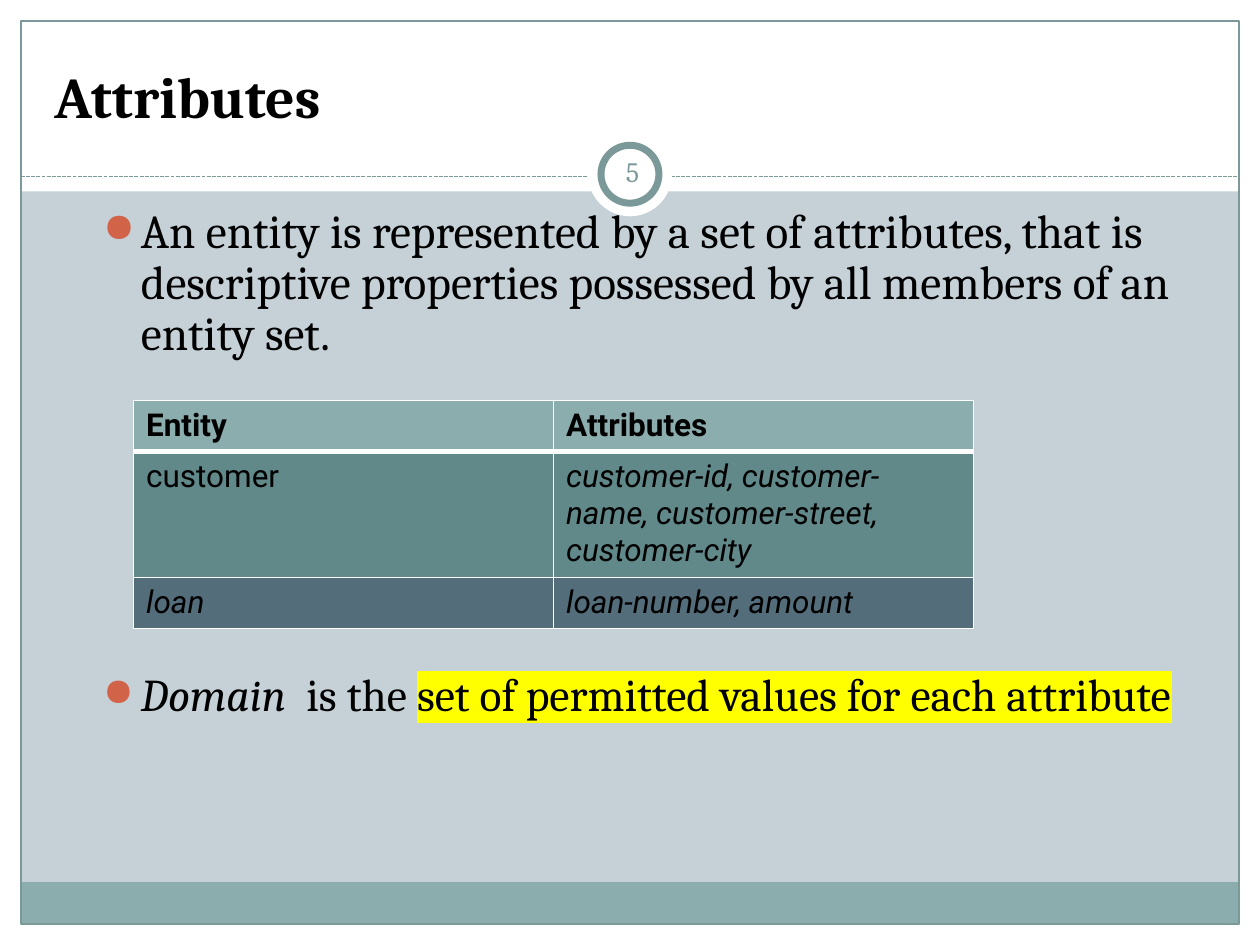
from lxml.etree import SubElement
from pptx import Presentation
from pptx.dml.color import RGBColor
from pptx.enum.dml import MSO_LINE
from pptx.enum.shapes import MSO_CONNECTOR, MSO_SHAPE
from pptx.enum.text import MSO_ANCHOR, PP_ALIGN
from pptx.oxml.ns import qn
from pptx.util import Inches, Pt

COLS, ROWS = 60, 45
WHITE, BLACK, TEAL, RIM = "FFFFFF", "000000", "8CADAE", "7C999A"
SERIF, SANS = "Cambria", "Roboto"


def tint(code):
    """Turn a hex string into a colour."""
    return RGBColor.from_string(code)


def grid(*cells):
    """Turn counts of grid cells into lengths."""
    return [Inches(10 / COLS * cell) for cell in cells]


def node(root, tag, **attrs):
    """Add an XML child with attributes."""
    return SubElement(root, qn(tag), attrs)


def form(slide, box, kind=MSO_SHAPE.RECTANGLE, fill=None, line=None, width=0.75):
    """Draw a preset shape in a box."""
    shape = slide.shapes.add_shape(kind, *grid(*box))
    shape.shadow.inherit = False
    if fill:
        shape.fill.solid()
        shape.fill.fore_color.rgb = tint(fill)
    else:
        shape.fill.background()
    if line:
        shape.line.color.rgb = tint(line)
        shape.line.width = Pt(width)
    else:
        shape.line.fill.background()


def write(para, text, size=27, font=SERIF, color=BLACK, bold=False, slant=False, mark=None):
    """Add a run of text with its format."""
    run = para.add_run()
    run.text = text
    face = run.font
    face.size, face.bold, face.italic = Pt(size), bold, slant
    face.color.rgb = tint(color)
    if mark:
        node(node(face._element, "a:highlight"), "a:srgbClr", val=mark)
    face.name = font


def frame(slide, box, anchor=MSO_ANCHOR.TOP):
    """Add a wrapped text box and return its text frame."""
    text = slide.shapes.add_textbox(*grid(*box)).text_frame
    text.word_wrap = True
    text.vertical_anchor = anchor
    return text


def dot(para, before):
    """Give a paragraph its bullet, indent and spacing."""
    para.line_spacing = 0.9
    para.space_before = Pt(before)
    props = para._p.get_or_add_pPr()
    props.set("marL", str(Inches(0.3)))
    props.set("indent", str(-Inches(0.3)))
    node(node(props, "a:buClr"), "a:srgbClr", val="D16349")
    node(props, "a:buSzPct", val="85000")
    node(props, "a:buChar", char="●")


def border(slide, box):
    """Draw the white margins, foot band, frame and dashed rule."""
    left, top, wide, high = box
    for part in ((0, ROWS - 1, COLS, 1), (0, 0, COLS, 9.12),
                 (0, 0, 1, ROWS), (COLS - 1, 0, 1, ROWS)):
        form(slide, part, fill=WHITE)
    form(slide, (left, top + high - 2, wide, 2), fill=TEAL)
    form(slide, box, line=RIM)
    level = top + 7.4
    rule = slide.shapes.add_connector(
        MSO_CONNECTOR.STRAIGHT, *grid(left, level, left + wide, level))
    rule.line.color.rgb = tint(RIM)
    rule.line.width = Pt(0.75)
    rule.line.dash_style = MSO_LINE.SQUARE_DOT
    node(rule._element.spPr, "a:effectLst")


def badge(slide, box, number):
    """Draw the ringed slide number."""
    left, top, wide, high = box
    gap = 0.62
    form(slide, box, MSO_SHAPE.OVAL, fill=WHITE)
    form(slide, (left + gap, top + gap, wide - 2 * gap, high - 2 * gap),
         MSO_SHAPE.OVAL, fill=WHITE, line=RIM, width=4)
    text = frame(slide, (left + gap, top + 0.42, 3, 2.88), MSO_ANCHOR.MIDDLE)
    text.margin_left = text.margin_right = Inches(0.05)
    para = text.paragraphs[0]
    para.alignment = PP_ALIGN.CENTER
    write(para, number, size=16, color=RIM)


def title(slide, box, text):
    """Write the heading at the foot of its box."""
    para = frame(slide, box, MSO_ANCHOR.BOTTOM).paragraphs[0]
    write(para, text, size=33, bold=True)


def body(slide, box):
    """Write the two bullets, leaving room for the table between."""
    text = frame(slide, box)
    para = text.paragraphs[0]
    dot(para, 5.4)
    write(para, "An entity is represented by a set of attributes, that is "
                "descriptive properties possessed by all members of an entity set.")
    para = text.add_paragraph()
    dot(para, 178)
    write(para, "Domain ", size=26, slant=True)
    write(para, " is the ", size=26)
    write(para, "set of permitted values for each attribute", size=26, mark="FFFF00")


def edge(cell, head):
    """Rule a cell in white, with a thick line under the head."""
    props = cell._tc.get_or_add_tcPr()
    for side in "LRTB":
        width = 3 if head and side == "B" else 1
        line = node(props, f"a:ln{side}", w=str(Pt(width)))
        node(node(line, "a:solidFill"), "a:srgbClr", val=WHITE)


def table(slide, box, data, highs, fills):
    """Build the table of entities."""
    made = slide.shapes.add_table(len(data), len(data[0]), *grid(*box)).table
    for r, (row, high, fill) in enumerate(zip(data, highs, fills)):
        made.rows[r].height = grid(high)[0]
        for c, (text, slant) in enumerate(row):
            cell = made.cell(r, c)
            edge(cell, r == 0)
            cell.fill.solid()
            cell.fill.fore_color.rgb = tint(fill)
            write(cell.text_frame.paragraphs[0], text, size=18, font=SANS,
                  bold=r == 0, slant=slant)


def main():
    """Build and save the slide."""
    deck = Presentation()
    deck.slide_width, deck.slide_height = grid(COLS, ROWS)
    slide = deck.slides.add_slide(deck.slide_layouts[6])
    slide.background.fill.solid()
    slide.background.fill.fore_color.rgb = tint("C5D1D7")
    border(slide, (1, 1, COLS - 2, ROWS - 2))
    badge(slide, (28, 6.3, 4, 4), "5")
    title(slide, (2, 1.5, 56, 5), "Attributes")
    body(slide, (4.32, 9.6, 52.26, 35.4))
    data = [
        [("Entity", False), ("Attributes", False)],
        [("customer", False),
         ("customer-id, customer-name, customer-street, customer-city", True)],
        [("loan", True), ("loan-number, amount", True)],
    ]
    table(slide, (6.36, 19.08, 40, 10.8), data, (2.43, 5.9, 2.43),
          (TEAL, "61898A", "546D7A"))
    deck.save("out.pptx")


if __name__ == "__main__":
    main()
